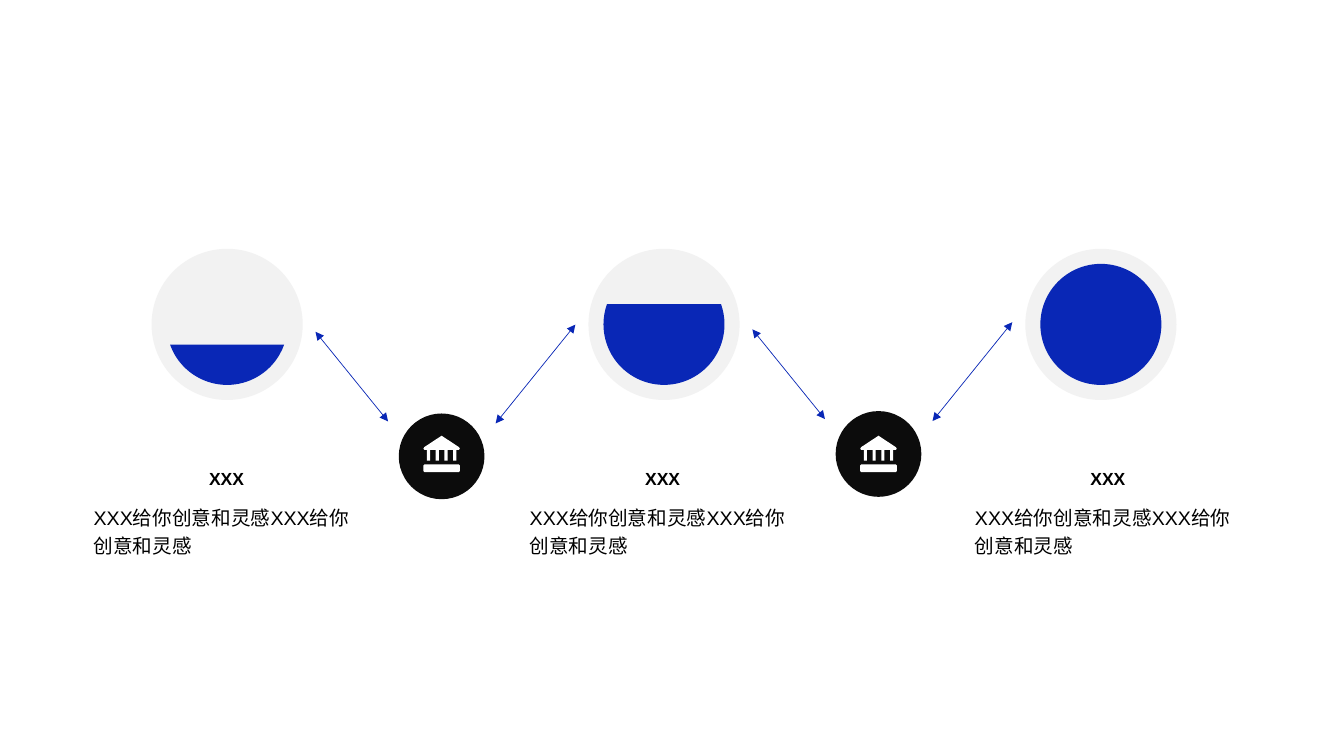
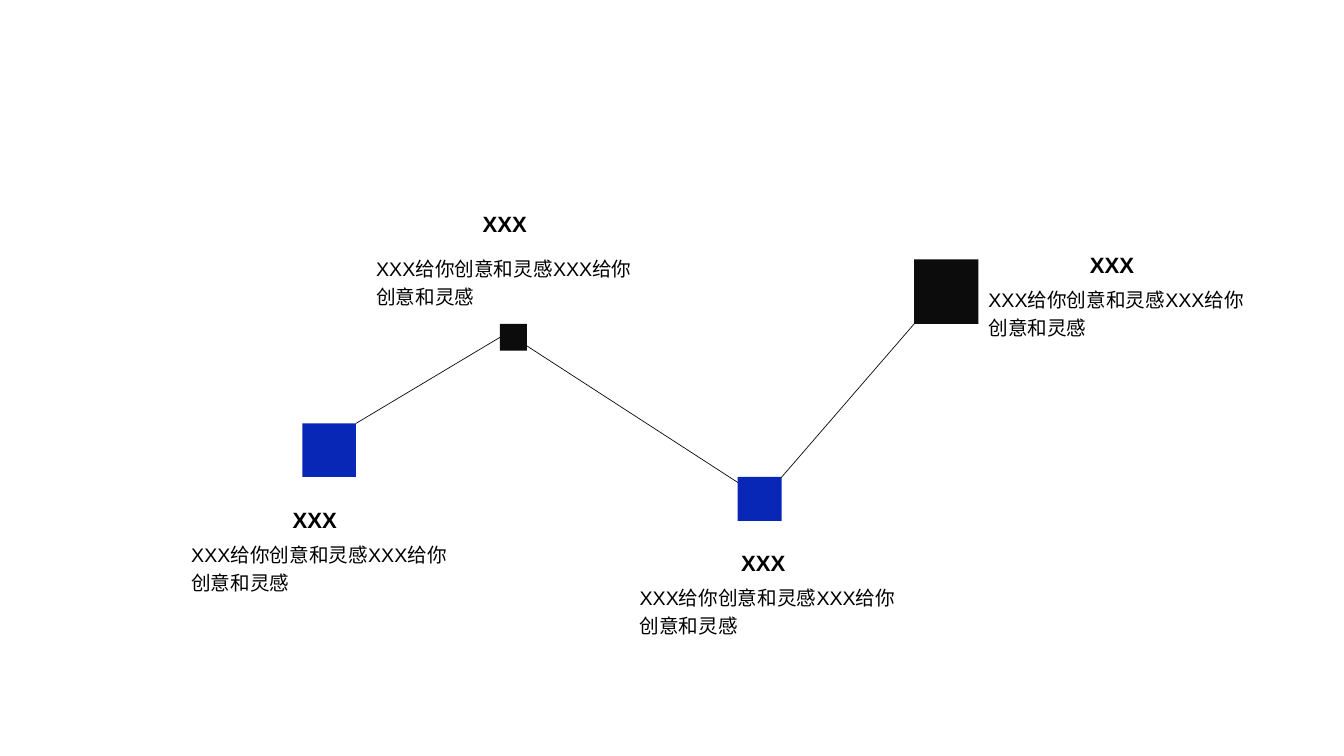
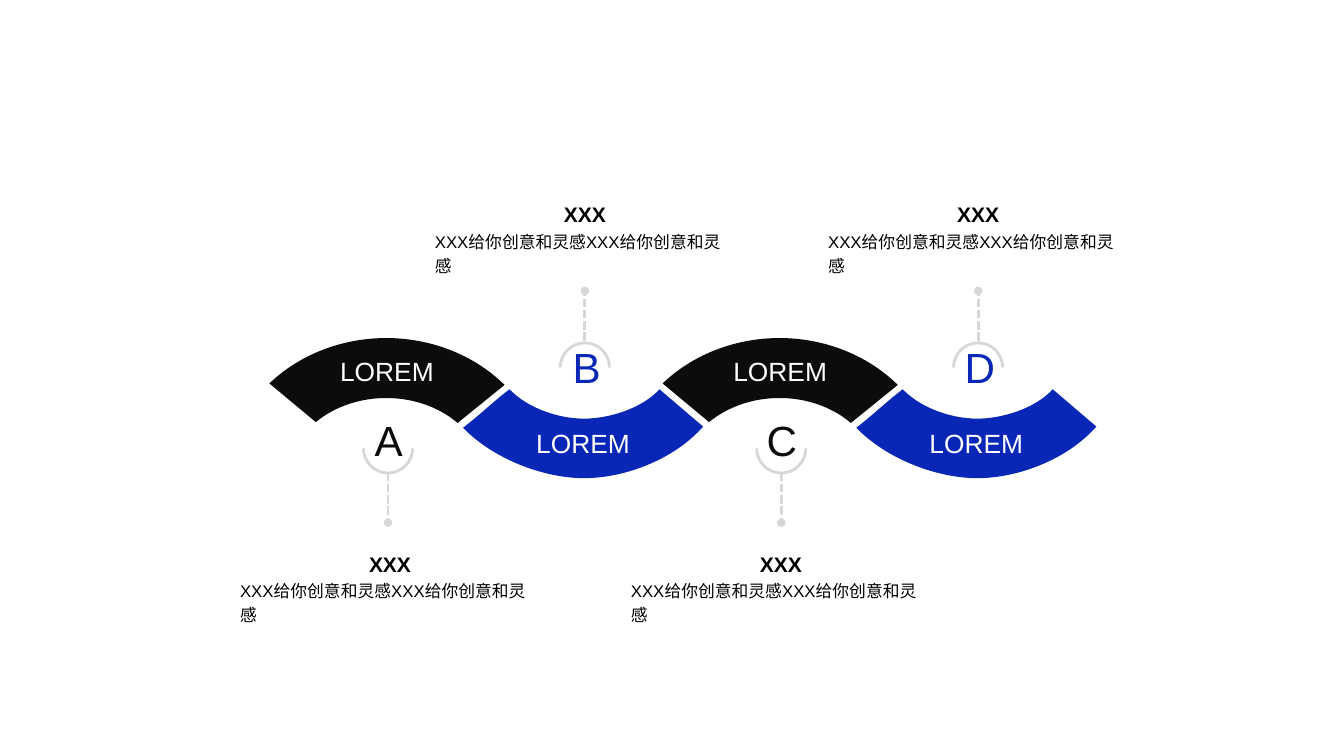
from lxml import etree

from pptx import Presentation
from pptx import util as u
from pptx.dml.color import RGBColor
from pptx.enum import dml, shapes, text
from pptx.oxml.ns import qn

BLUE = RGBColor(0x09, 0x27, 0xB6)
INK = RGBColor(0x0C, 0x0C, 0x0C)
BLACK = RGBColor(0, 0, 0)
WHITE = RGBColor(255, 255, 255)
PALE = RGBColor(0xF2, 0xF2, 0xF2)
GRAY = RGBColor(0xD7, 0xD7, 0xD7)

FONT = "Arial"
HEADING = "XXX"
BODY = "XXX给你创意和灵感XXX给你创意和灵感"
PADDING = tuple(u.Cm(value) for value in (0.25, 0.13, 0.25, 0.13))
NO_PADDING = (0, 0, 0, 0)
CENTER = text.PP_ALIGN.CENTER
LEFT = text.PP_ALIGN.LEFT

CIRCLE_CAPTION = {"body": (7.21, 1.7, 14), "head": (5.84, 0.86, 12.5),
                  "shift": (0.68, -0.92), "padding": PADDING}
SQUARE_CAPTION = {"body": (7.16, 1.7, 14), "head": (4.57, 0.76, 15.8),
                  "shift": (1.08, -0.81), "padding": NO_PADDING}
WAVE_CAPTION = {"body": (8.05, 1.5, 12), "head": (5.36, 0.97, 15),
                "shift": (1.35, -0.78), "padding": PADDING}


def set_values(target, values):
    for name, value in values.items():
        setattr(target, name, value)


def write(shape, wording, size, color, align=CENTER, bold=False, spacing=1.0,
          padding=PADDING, anchor=text.MSO_ANCHOR.TOP):
    frame = shape.text_frame
    left, top, right, bottom = padding
    set_values(frame, {"word_wrap": True, "vertical_anchor": anchor,
                       "margin_left": left, "margin_top": top,
                       "margin_right": right, "margin_bottom": bottom})
    para = frame.paragraphs[0]
    set_values(para, {"alignment": align, "line_spacing": spacing})
    span = para.add_run()
    span.text = wording
    set_values(span.font, {"name": FONT, "size": u.Pt(size), "bold": bold})
    span.font.color.rgb = color


def add_text(page, left, top, width, height, wording, size, color=BLACK, **style):
    box = page.shapes.add_textbox(u.Cm(left), u.Cm(top), u.Cm(width), u.Cm(height))
    write(box, wording, size, color, **style)
    box.text_frame.auto_size = text.MSO_AUTO_SIZE.SHAPE_TO_FIT_TEXT


def add_caption(page, left, top, layout, shift=None):
    width, height, size = layout["body"]
    add_text(page, left, top, width, height, BODY, size, align=LEFT, spacing=1.2)
    width, height, size = layout["head"]
    across, down = shift or layout["shift"]
    add_text(page, left + across, top + down, width, height, HEADING, size,
             bold=True, spacing=1.2, padding=layout["padding"])


def paint(shape, color):
    shape.shadow.inherit = False
    shape.fill.solid()
    shape.fill.fore_color.rgb = color
    shape.line.fill.background()


def add_preset(page, kind, left, top, width, height, color, adjustments=()):
    shape = page.shapes.add_shape(kind, u.Cm(left), u.Cm(top), u.Cm(width), u.Cm(height))
    for index, value in enumerate(adjustments):
        shape.adjustments[index] = value
    paint(shape, color)
    return shape


def add_outline(page, left, top, contours, close=True):
    placed = [[(u.Cm(left + x), u.Cm(top + y)) for x, y in contour] for contour in contours]
    builder = page.shapes.build_freeform(*placed[0][0])
    for index, contour in enumerate(placed):
        if index:
            builder.move_to(*contour[0])
        builder.add_line_segments(contour[1:], close=close)
    return builder.convert_to_shape()


def bend_segments(shape, straight=0):
    segments = list(shape._element.iter(qn("a:lnTo")))[straight:]
    for index in range(0, len(segments), 3):
        bend = etree.Element(qn("a:cubicBezTo"))
        segments[index].addprevious(bend)
        for segment in segments[index:index + 3]:
            bend.append(segment[0])
            segment.getparent().remove(segment)


def add_line(page, start, end, color, width, dash=None, head=None, tail=None):
    ends = [u.Cm(value) for value in (*start, *end)]
    line = page.shapes.add_connector(shapes.MSO_CONNECTOR.STRAIGHT, *ends)
    line.line.color.rgb = color
    line.line.width = u.Pt(width)
    if dash:
        line.line.dash_style = dash
    outline = line.line._get_or_add_ln()
    for tag, kind in (("a:headEnd", head), ("a:tailEnd", tail)):
        if kind:
            etree.SubElement(outline, qn(tag)).set("type", kind)
    etree.SubElement(line._element.spPr, qn("a:effectLst"))
    return line


def add_bank_icon(page, left, top):
    base = [(0.03, 0.72), (0.89, 0.72), (0.92, 0.75), (0.92, 0.89),
            (0.89, 0.92), (0.03, 0.92), (0, 0.89), (0, 0.75)]
    house = [(0.03, 0.36), (0, 0.33), (0.02, 0.29), (0.43, 0.02), (0.46, 0),
             (0.49, 0.02), (0.9, 0.29), (0.92, 0.33), (0.89, 0.36)]
    for index in reversed(range(4)):
        pillar = 0.09 + 0.22 * index
        house += [(pillar + 0.08, 0.36), (pillar + 0.08, 0.63),
                  (pillar, 0.63), (pillar, 0.36)]
    paint(add_outline(page, left, top, [base, house]), WHITE)


def build_circles(page):
    step = 11.01
    fills = ((11.68, 96.32), (204.32, 119.68), (162, 162))
    for index, angles in enumerate(fills):
        left = 3.82 + step * index
        add_preset(page, shapes.MSO_SHAPE.OVAL, left, 6.27, 3.81, 3.81, PALE)
        add_preset(page, shapes.MSO_SHAPE.CHORD, left + 0.38, 6.65, 3.05, 3.05, BLUE, angles)
    arrows = (((7.95, 8.36), (9.78, 10.62)), ((14.5, 8.18), (12.49, 10.67)))
    for index in range(2):
        across, down = step * index, -0.06 * index
        for start, end in arrows:
            add_line(page, (start[0] + across, start[1] + down),
                     (end[0] + across, end[1] + down), BLUE, 0.5,
                     head="triangle", tail="triangle")
        add_preset(page, shapes.MSO_SHAPE.OVAL, 10.05 + across, 10.42 + down, 2.16, 2.16, INK)
    for index in range(2):
        add_bank_icon(page, 10.67 + step * index, 10.98)
    for left in (2.11, 13.1, 24.32):
        add_caption(page, left, 12.49, CIRCLE_CAPTION)


def build_squares(page):
    routes = (((8.97, 10.67), (12.6, 8.5)), ((13.16, 8.64), (18.72, 12.24)),
              ((19.51, 12.24), (23.42, 7.72)))
    lines = [add_line(page, start, end, INK, 0.5) for start, end in routes]
    places = ((7.62, 10.67, 1.35, BLUE), (12.6, 8.16, 0.68, INK),
              (18.59, 12.02, 1.11, BLUE), (23.04, 6.54, 1.62, INK))
    squares = [add_preset(page, shapes.MSO_SHAPE.RECTANGLE, left, top, side, side, color)
               for left, top, side, color in places]
    lines[0].end_connect(squares[1], 1)
    add_caption(page, 9.23, 6.22, SQUARE_CAPTION, shift=(1.21, -1.04))
    for left, top in ((4.57, 13.44), (24.66, 7.01), (15.87, 14.52)):
        add_caption(page, left, top, SQUARE_CAPTION)


def label_band(band, padding):
    write(band, "LOREM", 18.8, WHITE, padding=padding, anchor=text.MSO_ANCHOR.MIDDLE)


def add_crest(page, left):
    band = add_preset(page, shapes.MSO_SHAPE.BLOCK_ARC, left, 8.52, 8.05, 7.19,
                      INK, (131.87, 192.6, 0.21))
    label_band(band, (0, 0, 0, u.Cm(0.46)))


def add_trough(page, left):
    points = [(4.95, 0), (6.05, 0.94),
              (5.31, 1.78), (4.06, 2.24), (3.05, 2.24),
              (2.06, 2.24), (0.79, 1.78), (0, 0.97),
              (0.43, 0.64), (0.74, 0.33), (1.17, 0),
              (1.63, 0.48), (2.41, 0.74), (3.05, 0.74),
              (3.68, 0.74), (4.52, 0.48), (4.95, 0)]
    band = add_outline(page, left, 9.81, [points])
    bend_segments(band, straight=1)
    paint(band, BLUE)
    label_band(band, (0, u.Cm(0.46), 0, 0))


def add_pin(page, center, rim, direction, line_start, line_end):
    radius, pull = 0.62, 0.34
    depth, bend = radius * direction, pull * direction
    points = [(radius, 0), (radius, bend), (pull, depth), (0, depth),
              (-pull, depth), (-radius, bend), (-radius, 0)]
    arc = add_outline(page, center, rim, [points], close=False)
    bend_segments(arc)
    arc.shadow.inherit = False
    arc.fill.background()
    arc.line.color.rgb = GRAY
    arc.line.width = u.Pt(2)
    add_line(page, (center, line_start), (center, line_end), GRAY, 2,
             dash=dml.MSO_LINE.SQUARE_DOT, tail="oval")


def build_wave(page):
    period = 9.91
    for index, (low, high) in enumerate(("AB", "CD")):
        across = period * index
        add_crest(page, 5.71 + across)
        pins = ((low, 9.78, 11.3, 1, 11.91, 13.17, 8.87, 10.57, INK),
                (high, 14.74, 9.26, -1, 8.59, 7.33, 13.86, 8.71, BLUE))
        for letter, center, rim, direction, start, end, left, top, color in pins:
            add_pin(page, center + across, rim, direction, start, end)
            add_text(page, left + across, top, 1.85, 1.3, letter, 30.1, color, spacing=0.8)
        add_trough(page, 11.67 + across)
    for left, top in ((10.71, 5.61), (20.62, 5.61), (15.65, 14.41), (5.8, 14.41)):
        add_caption(page, left, top, WAVE_CAPTION)


def main():
    deck = Presentation()
    deck.slide_width, deck.slide_height = u.Cm(33.87), u.Cm(19.05)
    for build in (build_circles, build_squares, build_wave):
        build(deck.slides.add_slide(deck.slide_layouts[6]))
    deck.save("out.pptx")


if __name__ == "__main__":
    main()
